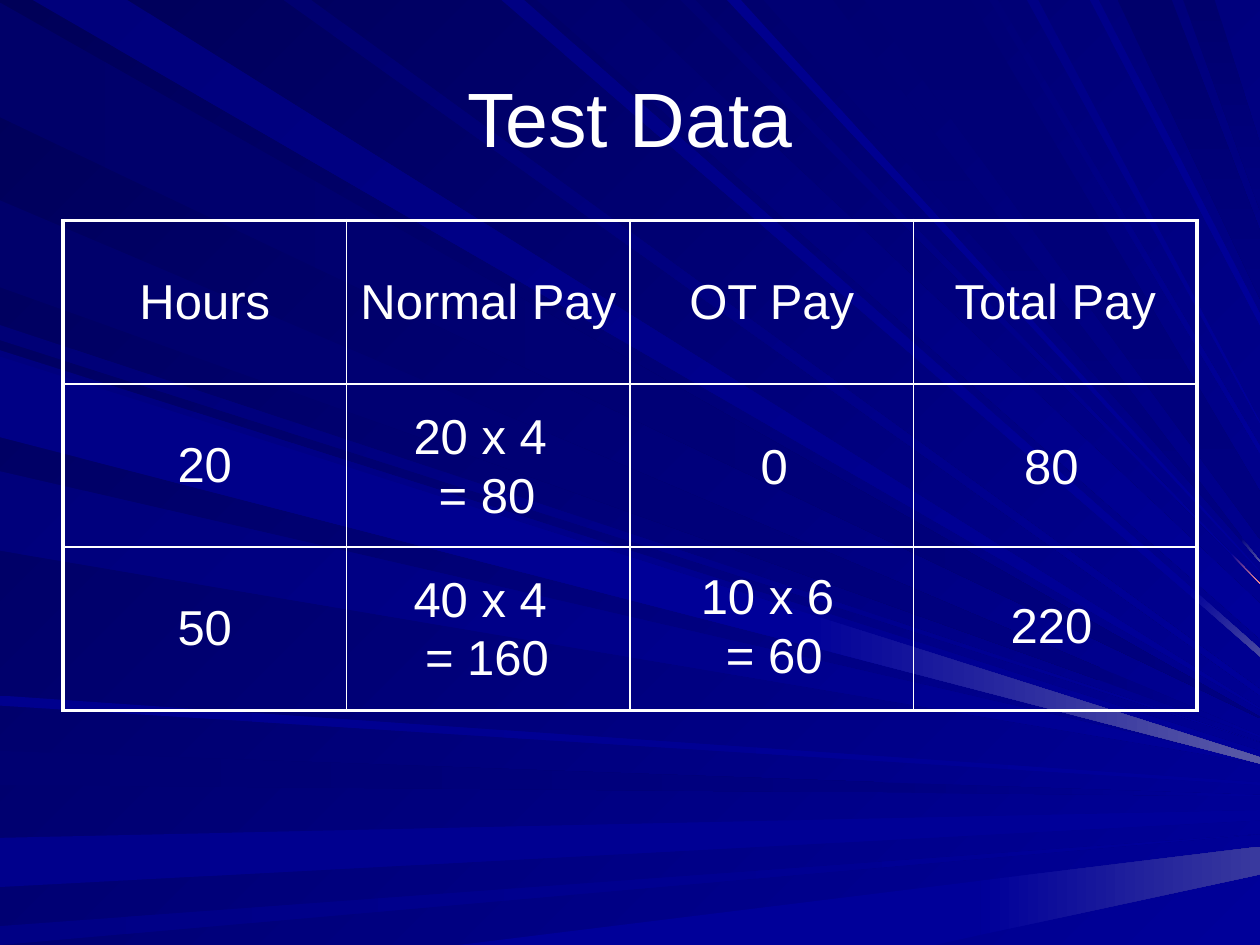
from collections import namedtuple

from lxml import etree
from pptx import Presentation
from pptx import util as u
from pptx.dml.color import RGBColor
from pptx.enum import text
from pptx.oxml.ns import qn

PX = 9144  # 100 px to the inch
WIDTH, HEIGHT = 1000, 750
COLORS = {"white": "FFFFFF", "night": "000058", "navy": "000080", "blue": "000099",
          "haze": "39399E", "mist": "4A4AA1", "glow": "5A5AA6", "pink": "FF9999"}
BODY = {"size": u.Pt(28), "name": "Arial"}
TITLE = {"size": u.Pt(44), "name": "Arial"}

# A fan is the slide edge its rays leave from, and the angle of their gradient
Fan = namedtuple("Fan", "edge angle")
FANS = {"level": Fan("left", 0), "slanted": Fan("left", 45), "floor": Fan("bottom", 0),
        "diagonal": Fan("top", 45), "steep": Fan("top", 90)}

# A ray runs from its mouth, two places along that edge, to its tip, two heights
# on the right edge. Its blue starts at depth and passes through the shades;
# a second shade begins at the x of the split.
Ray = namedtuple("Ray", "fan mouth tip depth shades split", defaults=[None])
RAYS = [
    Ray("level", (2, 93), (569, 570), 0x69, ["navy"]),
    Ray("diagonal", (101, 26), (562, 563), 0x7B, ["blue"]),
    Ray("level", (596, 623), (631, 632), 0x71, ["navy", "blue"], 701),
    Ray("level", (665, 704), (643, 651), 0x8C, ["blue"]),
    Ray("level", (735, 750), (662, 662), 0x85, ["blue"]),
    Ray("floor", (364, 742), (672, 694), 0x99, ["blue", "haze"], 778),
    Ray("slanted", (258, 270), (589, 589), 0x76, ["blue"]),
    Ray("level", (159, 228), (584, 585), 0x6B, ["navy", "blue"], 873),
    Ray("diagonal", (416, 398), (515, 521), 0x83, ["blue", "mist"], 945),
    Ray("diagonal", (492, 426), (479, 507), 0x6D, ["blue"]),
    Ray("diagonal", (552, 540), (463, 463), 0x73, ["blue", "pink"], 977),
    Ray("steep", (661, 606), (445, 446), 0x73, ["navy", "glow"], 986),
    Ray("steep", (930, 887), (183, 237), 0x6B, ["navy"]),
    Ray("steep", (964, 939), (114, 167), 0x6D, ["navy"]),
    Ray("slanted", (278, 342), (596, 602), 0x7E, ["blue"]),
    Ray("slanted", (374, 437), (605, 606), 0x7B, ["blue"]),
    Ray("level", (552, 560), (621, 623), 0x8E, ["blue"]),
    Ray("diagonal", (247, 225), (547, 552), 0x70, ["blue"]),
    Ray("diagonal", (588, 577), (453, 454), 0x8E, ["blue"]),
    Ray("steep", (770, 686), (390, 428), 0x73, ["navy"]),
    Ray("diagonal", (792, 785), (354, 360), 0x78, ["blue"]),
    Ray("diagonal", (824, 815), (335, 336), 0x85, ["blue"]),
    Ray("diagonal", (872, 865), (249, 258), 0x8A, ["blue"]),
    Ray("level", (283, 347), (601, 606), 0x85, ["blue", "glow"], 635),
]

HEADINGS = ["Hours", "Normal Pay", "OT Pay", "Total Pay"]
HOURS = ["20", "50"]
# Under each heading: left of its figures, then (top, lines) for each row of hours
PAY = {
    "Normal Pay": (230, [(142, ["20 x 4 ", "= 80"]), (271, ["40 x 4 ", "= 160"])]),
    "OT Pay": (458, [(166, ["0"]), (269, ["10 x 6 ", "= 60"])]),
    "Total Pay": (678, [(166, ["80"]), (292, ["220"])]),
}
PAY_WIDTH, PAY_LINE, PAY_PADDING = 213, 47, 10


def paint(fill, first, last, angle):
    if first == last:
        fill.solid()
        fill.fore_color.rgb = RGBColor.from_string(first)
        return
    fill.gradient()
    fill.gradient_angle = 360 - angle
    for stop, color in zip(fill.gradient_stops, (first, last)):
        stop.color.rgb = RGBColor.from_string(color)


def edge_point(edge, place):
    return {"left": (0, place), "top": (place, 0), "bottom": (place, HEIGHT)}[edge]


def point_at(x, start, end):
    """The point at x on the line from start to end."""
    share = (x - start[0]) / (end[0] - start[0])
    return x, round(start[1] + share * (end[1] - start[1]))


def ray_cuts(ray):
    """The pairs of points across a ray, from mouth through split to tip."""
    mouth = [edge_point(FANS[ray.fan].edge, place) for place in ray.mouth]
    tip = [(WIDTH, y) for y in ray.tip]
    if ray.split is None:
        return [mouth, tip]
    return [mouth, [point_at(ray.split, *side) for side in zip(mouth, tip)], tip]


def add_ray(group, ray, left, top):
    cuts = ray_cuts(ray)
    colors = [f"0000{ray.depth:02X}"] + [COLORS[shade] for shade in ray.shades]
    for near, far, first, last in zip(cuts, cuts[1:], colors, colors[1:]):
        builder = group.shapes.build_freeform(*near[0], scale=PX)
        builder.add_line_segments([*far, near[1]], close=True)
        beam = builder.convert_to_shape(left * PX, top * PX)
        paint(beam.fill, first, last, FANS[ray.fan].angle)
        beam.line.fill.background()
        beam.shadow.inherit = False


def add_backdrop(slide, left, top):
    paint(slide.background.fill, COLORS["night"], COLORS["blue"], 45)
    group = slide.shapes.add_group_shape()
    for ray in RAYS:
        add_ray(group, ray, left, top)


def write(frame, lines, style):
    """Fill a text frame with centred white paragraphs."""
    frame.text = "\n".join(lines)
    for paragraph in frame.paragraphs:
        paragraph.alignment = text.PP_ALIGN.CENTER
        for run in paragraph.runs:
            for key, value in style.items():
                setattr(run.font, key, value)
            run.font.color.rgb = RGBColor.from_string(COLORS["white"])


def add_text(slide, box, lines, style, **layout):
    frame = slide.shapes.add_textbox(*(n * PX for n in box)).text_frame
    for key, value in {"word_wrap": True, **layout}.items():
        setattr(frame, key, value)
    write(frame, lines, style)


def add_border(cell, side, points):
    line = etree.SubElement(cell._tc.get_or_add_tcPr(), qn(f"a:ln{side}"), w=str(u.Pt(points)))
    solid = etree.SubElement(line, qn("a:solidFill"))
    etree.SubElement(solid, qn("a:srgbClr"), val=COLORS["white"])


def add_grid(slide, left, top, width, height):
    """An unfilled table with a heavier outer frame."""
    rows, columns = len(HOURS) + 1, len(HEADINGS)
    box = [n * PX for n in (left, top, width, height)]
    table = slide.shapes.add_table(rows, columns, *box).table
    for flag in ("first_row", "horz_banding"):
        setattr(table, flag, False)
    for r in range(rows):
        for c in range(columns):
            cell = table.cell(r, c)
            cell.vertical_anchor = text.MSO_ANCHOR.MIDDLE
            outer = {"L": c == 0, "R": c == columns - 1, "T": r == 0, "B": r == rows - 1}
            for side, heavy in outer.items():
                add_border(cell, side, 2.25 if heavy else 1)
            cell.fill.background()
    return table


def add_pay_table(slide, left, top, width, height):
    table = add_grid(slide, left, top, width, height)

    # Headings and hours sit in the cells
    for c, heading in enumerate(HEADINGS):
        write(table.cell(0, c).text_frame, [heading], BODY)
    for r, hours in enumerate(HOURS, 1):
        write(table.cell(r, 0).text_frame, [hours], BODY)

    # Pay figures lie over the grid
    for x, figures in PAY.values():
        for y, lines in figures:
            box = (left + x, top + y, PAY_WIDTH, PAY_LINE * len(lines) + PAY_PADDING)
            add_text(slide, box, lines, BODY, auto_size=text.MSO_AUTO_SIZE.SHAPE_TO_FIT_TEXT)


def main():
    deck = Presentation()
    deck.slide_width, deck.slide_height = WIDTH * PX, HEIGHT * PX
    slide = deck.slides.add_slide(deck.slide_layouts[6])
    add_backdrop(slide, 0, 0)
    add_text(slide, (50, 30, 900, 125), ["Test Data"], TITLE,
             vertical_anchor=text.MSO_ANCHOR.MIDDLE)
    add_pay_table(slide, 50, 175, 900, 389)
    deck.save("out.pptx")


if __name__ == "__main__":
    main()
